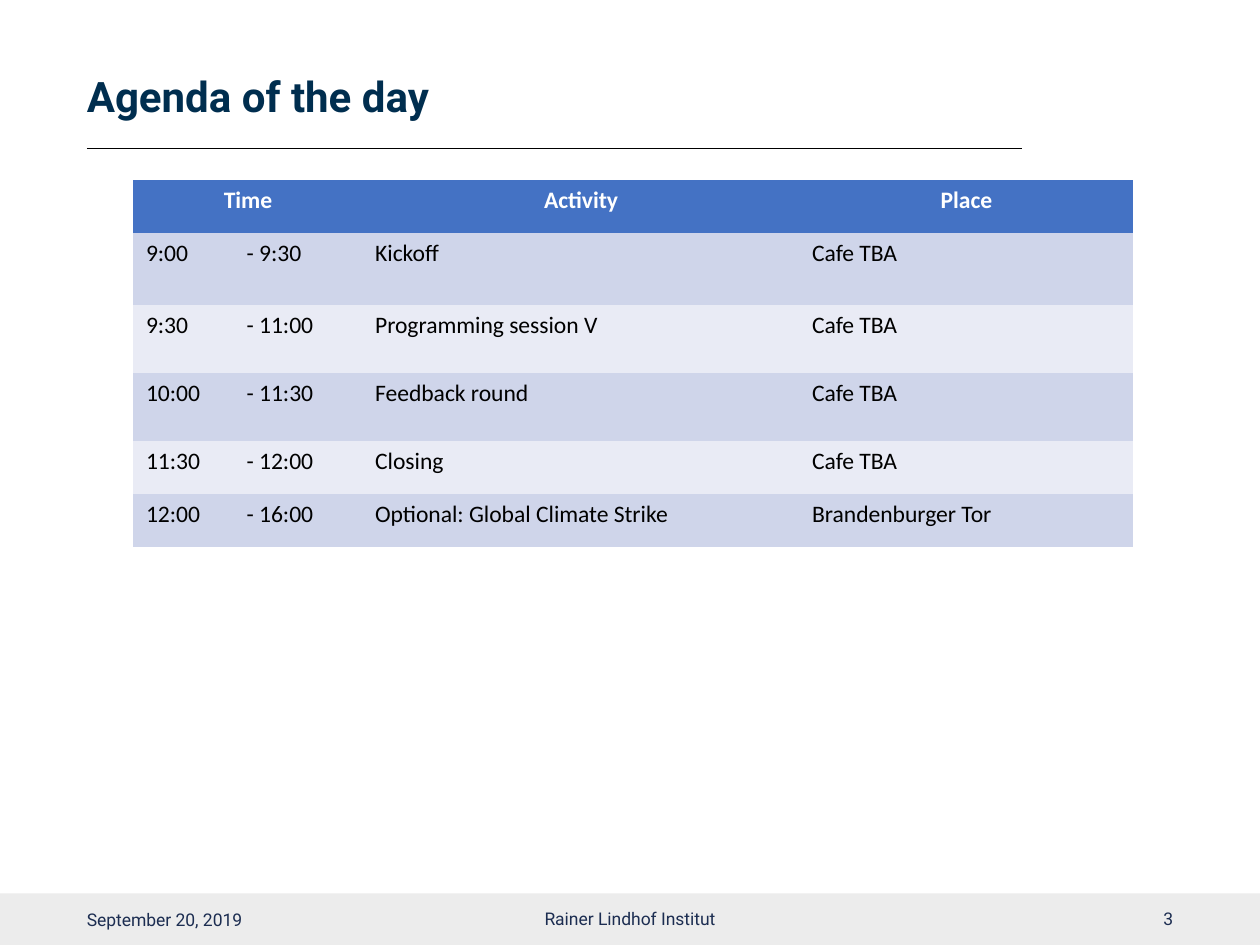
from dataclasses import dataclass

from lxml.etree import SubElement
from pptx import Presentation
from pptx.dml.color import RGBColor as Rgb
from pptx.enum.shapes import MSO_CONNECTOR as Link, MSO_SHAPE as Form
from pptx.enum.text import MSO_ANCHOR as Anchor, PP_ALIGN as Align
from pptx.oxml.ns import qn
from pptx.util import Cm, Pt

INK = {"title": "002E4F", "foot": "1C2D51", "bar": "ECECEC", "rule": "000000",
       "head": "4472C4", "odd": "CFD5EA", "even": "E9EBF5",
       "white": "FFFFFF", "black": "000000"}
PLAIN = "{2D5ABB26-0587-4C30-8999-92F81FD0307C}"  # no style, no grid
EDGE = 1.75


@dataclass
class Label:
    text: str
    left: float
    top: float
    width: float
    height: float
    size: float = 10
    ink: str = "foot"
    bold: bool = False
    align: Align = Align.LEFT
    inset: tuple[float, float] = (0, 0.25)
    space: float = 1.0


@dataclass
class Slot:
    start: str
    end: str
    task: str
    place: str
    height: float


def color(key: str) -> Rgb:
    return Rgb.from_string(INK[key])


def style(para, face: str, size: float, ink: str, bold: bool, align: Align) -> None:
    para.alignment = align
    for run in para.runs:
        font = run.font
        font.name, font.size, font.bold = face, Pt(size), bold
        font.color.rgb = color(ink)


def write(slide, item: Label) -> None:
    box = slide.shapes.add_textbox(Cm(item.left), Cm(item.top),
                                   Cm(item.width), Cm(item.height))
    frame = box.text_frame
    frame.word_wrap = True
    frame.vertical_anchor = Anchor.MIDDLE
    frame.margin_left, frame.margin_right = map(Cm, item.inset)
    frame.text = item.text
    para = frame.paragraphs[0]
    para.line_spacing = item.space
    style(para, "Roboto", item.size, item.ink, item.bold, item.align)


def fill(cell, text: str, shade: str, head: bool) -> None:
    cell.fill.solid()
    cell.fill.fore_color.rgb = color(shade)
    cell.text = text
    style(cell.text_frame.paragraphs[0], "Calibri", 13.5,
          "white" if head else "black", head, Align.CENTER if head else Align.LEFT)


deck = Presentation()
deck.slide_width, deck.slide_height = Cm(25.4), Cm(19.05)
page = deck.slides.add_slide(deck.slide_layouts[6])

# Footer bar and title rule
bar = page.shapes.add_shape(Form.RECTANGLE, 0, Cm(18.01), Cm(25.4), Cm(1.04))
bar.shadow.inherit = False
bar.fill.solid()
bar.fill.fore_color.rgb = color("bar")
bar.line.fill.background()

rule = page.shapes.add_connector(Link.STRAIGHT, Cm(EDGE), Cm(3), Cm(20.6), Cm(3))
rule.line.color.rgb = color("rule")
rule.line.width = Pt(0.5)
SubElement(rule.element.spPr, qn("a:effectLst"))

# Title and footer texts
for item in (
    Label("Agenda of the day", EDGE, 0.97, 18.87, 2.03, 24, "title", True, space=0.9),
    Label("3", 17.93, 18.01, 5.72, 1.02, align=Align.RIGHT, inset=(0, 0)),
    Label("Rainer Lindhof Institut", 8.41, 18.01, 8.58, 1.02,
          align=Align.CENTER, inset=(0.25, 0.25)),
    Label("September 20, 2019", EDGE, 18.03, 5.72, 1.02),
):
    write(page, item)

# Agenda table
slots = [
    Slot("9:00", "- 9:30", "Kickoff", "Cafe TBA", 1.45),
    Slot("9:30", "- 11:00", "Programming session V", "Cafe TBA", 1.37),
    Slot("10:00", "- 11:30", "Feedback round", "Cafe TBA", 1.37),
    Slot("11:30", "- 12:00", "Closing", "Cafe TBA", 1.07),
    Slot("12:00", "- 16:00", "Optional: Global Climate Strike",
         "Brandenburger Tor", 1.07),
]
rows = [Slot("Time", "", "Activity", "Place", 1.07), *slots]
wide = [2.03, 2.59, 8.81, 6.73]
frame = page.shapes.add_table(len(rows), len(wide), Cm(2.69), Cm(3.63),
                              Cm(sum(wide)), Cm(sum(r.height for r in rows)))
grid = frame.table
for mark in frame.element.iter(qn("a:tableStyleId")):
    mark.text = PLAIN
for col, width in zip(grid.columns, wide):
    col.width = Cm(width)
for i, row in enumerate(rows):
    grid.rows[i].height = Cm(row.height)
    shade = "head" if i == 0 else "odd" if i % 2 else "even"
    for j, text in enumerate((row.start, row.end, row.task, row.place)):
        fill(grid.cell(i, j), text, shade, i == 0)
grid.cell(0, 0).merge(grid.cell(0, 1))

deck.save("out.pptx")
